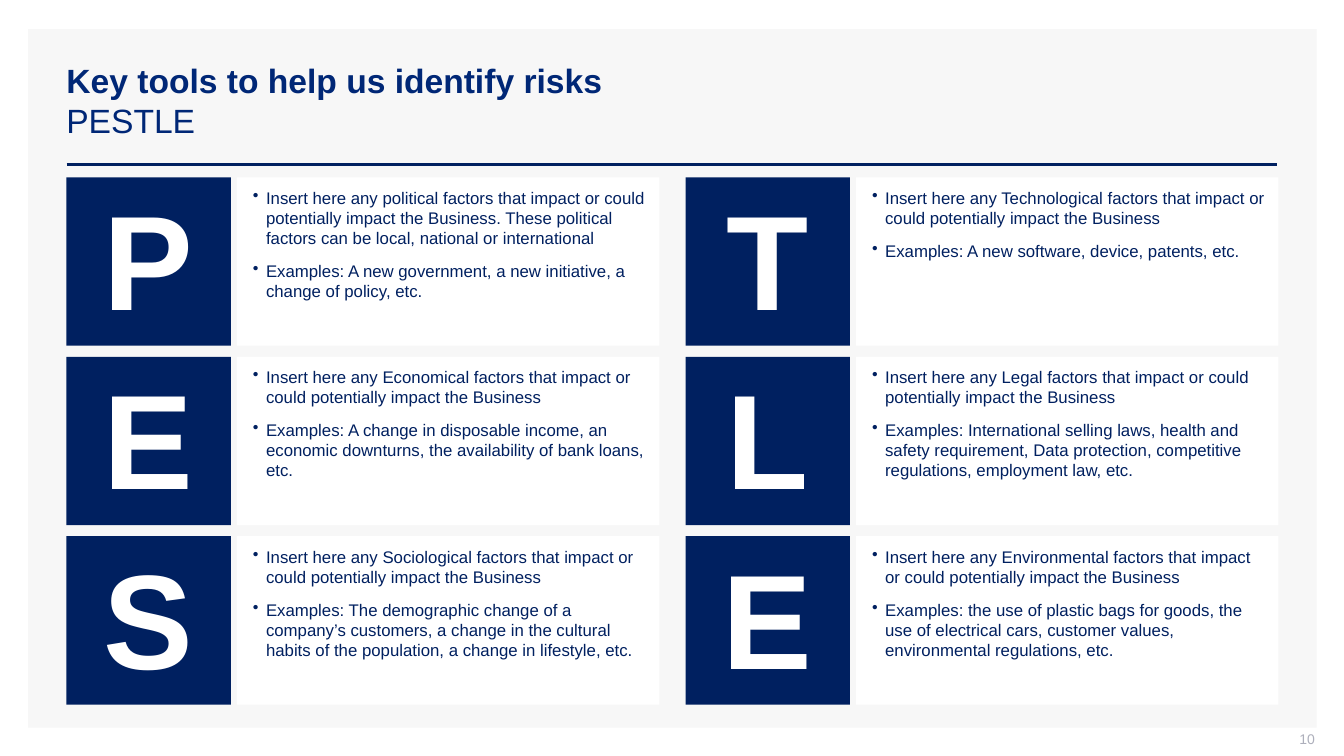
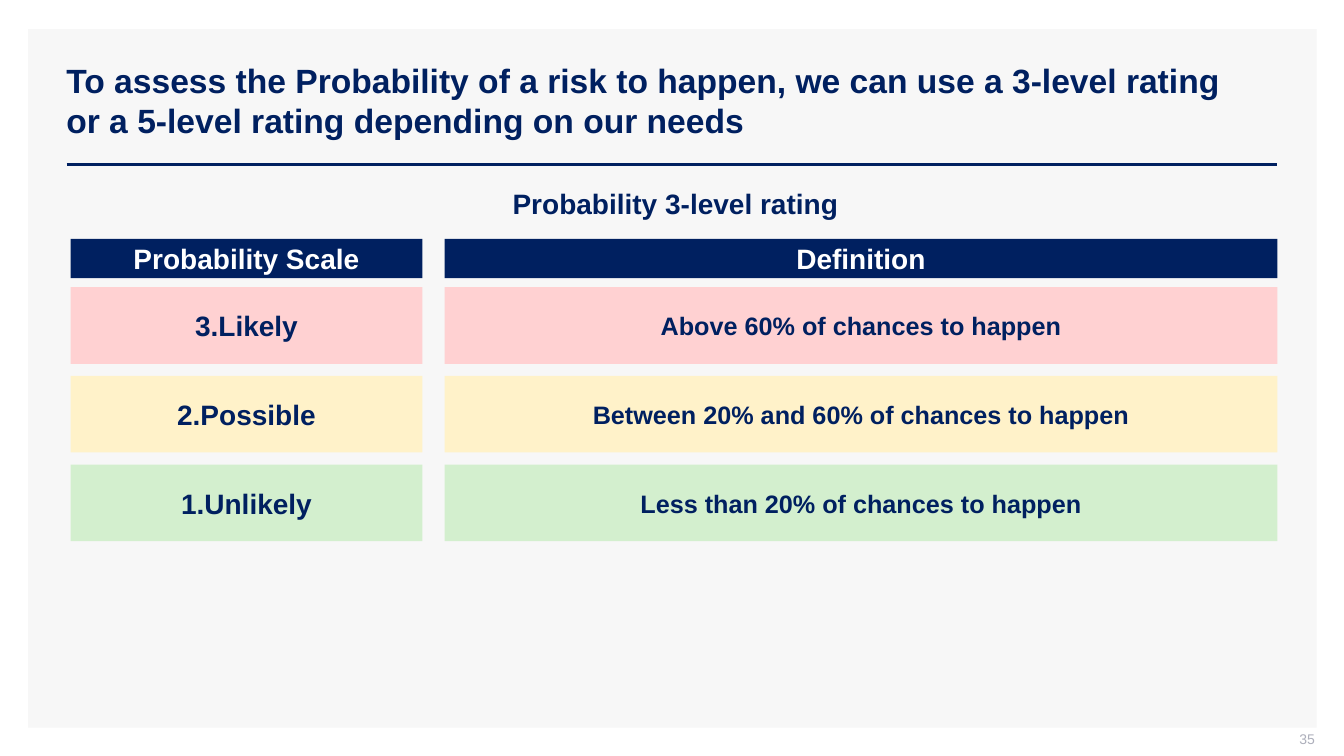
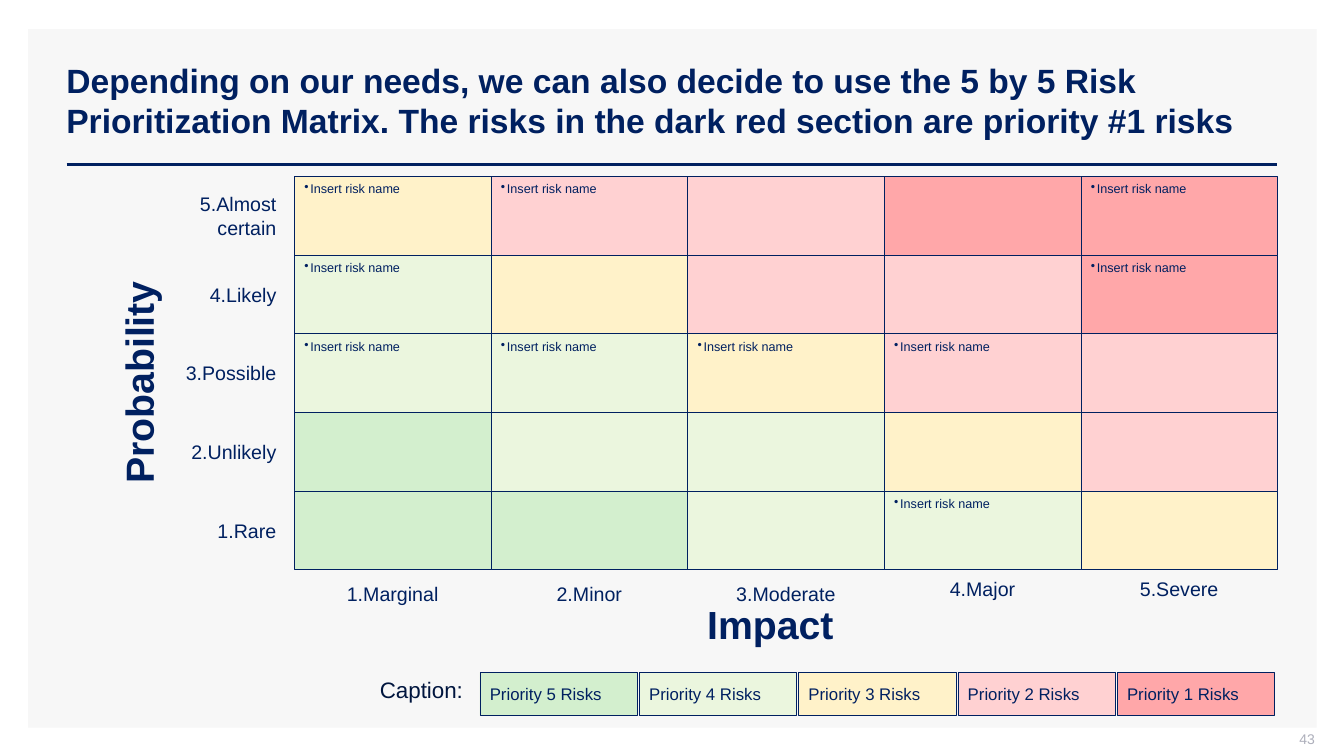
import pptx
import pptx.dml.color
import pptx.enum.shapes
import pptx.enum.text
import pptx.oxml.ns
import pptx.util
from lxml import etree

Inches = pptx.util.Inches
Pt = pptx.util.Pt
ALIGN = pptx.enum.text.PP_ALIGN
ANCHOR = pptx.enum.text.MSO_ANCHOR
qn = pptx.oxml.ns.qn

COLORS = {
    "navy": "002060", "title_blue": "002776", "ink": "00153E",
    "white": "FFFFFF", "panel": "F7F7F7", "page_grey": "ADAFBB",
    "p1": "FFA7A9", "p2": "FFD1D2", "p3": "FFF2C9",
    "p4": "EBF6DE", "p5": "D3EFCE",
}


def rgb(name):
    return pptx.dml.color.RGBColor.from_string(COLORS[name])


class Deck:
    font = "Arial"

    def __init__(self):
        self.prs = pptx.Presentation()
        self.prs.slide_width = Inches(13.33)
        self.prs.slide_height = Inches(7.5)
        self.slide = None

    def start(self, title, number, color="navy", subtitle=None):
        self.slide = self.prs.slides.add_slide(self.prs.slide_layouts[6])
        self.box(0.28, 0.29, 12.78, 6.93, "panel")
        self.rule(0.66, 1.63, 12.67)
        heading = self.text(0.56, 0.4, 12, 1.19, [title], 24, color, bold=True,
                            align=ALIGN.LEFT)
        if subtitle:
            paragraph = heading.text_frame.paragraphs[0]
            paragraph.add_line_break()
            self.run(paragraph, subtitle, 24, color, False)
        self.text(10.04, 7.25, 3, 0.21, [str(number)], 10, "page_grey",
                  align=ALIGN.RIGHT, insets=(0.1, 0, 0, 0.05))

    def rule(self, left, top, right):
        line = self.slide.shapes.add_connector(
            pptx.enum.shapes.MSO_CONNECTOR.STRAIGHT,
            Inches(left), Inches(top), Inches(right), Inches(top))
        line.line.color.rgb = rgb("navy")
        line.line.width = Pt(2)
        etree.SubElement(line._element.spPr, qn("a:effectLst"))

    def box(self, left, top, width, height, fill, outlined=False):
        shape = self.slide.shapes.add_shape(
            pptx.enum.shapes.MSO_SHAPE.RECTANGLE,
            Inches(left), Inches(top), Inches(width), Inches(height))
        shape.shadow.inherit = False
        shape.fill.solid()
        shape.fill.fore_color.rgb = rgb(fill)
        if outlined:
            shape.line.color.rgb = rgb("navy")
            shape.line.width = Pt(0.25)
        else:
            shape.line.fill.background()
        return shape

    def text(self, left, top, width, height, lines, size, color="navy", **style):
        shape = self.slide.shapes.add_textbox(
            Inches(left), Inches(top), Inches(width), Inches(height))
        self.fill_text(shape, lines, size, color, **style)
        return shape

    def fill_text(self, shape, lines, size, color="navy", bold=False,
                  align=ALIGN.CENTER, anchor=ANCHOR.MIDDLE,
                  insets=(0.1, 0.05, 0.1, 0.05), bullet=None, gap=0):
        frame = shape.text_frame
        frame.word_wrap = True
        frame.vertical_anchor = anchor
        (frame.margin_left, frame.margin_top,
         frame.margin_right, frame.margin_bottom) = map(Inches, insets)
        for index, line in enumerate(lines):
            paragraph = frame.add_paragraph() if index else frame.paragraphs[0]
            paragraph.alignment = align
            if index and gap:
                paragraph.space_before = Pt(gap)
            if bullet:
                self.bullet(paragraph, *bullet)
            self.run(paragraph, line, size, color, bold)

    def bullet(self, paragraph, margin, hanging):
        properties = paragraph._p.get_or_add_pPr()
        properties.set("marL", str(Inches(margin)))
        properties.set("indent", str(-Inches(hanging)))
        etree.SubElement(properties, qn("a:buChar")).set("char", "•")

    def run(self, paragraph, content, size, color, bold):
        run = paragraph.add_run()
        run.text = content
        run.font.name = self.font
        run.font.size = Pt(size)
        run.font.bold = bold
        run.font.color.rgb = rgb(color)


PESTLE = [
    ("P", "Insert here any political factors that impact or could potentially impact the Business. "
          "These political factors can be local, national or international",
     "Examples: A new government, a new initiative, a change of policy, etc."),
    ("E", "Insert here any Economical factors that impact or could potentially impact the Business",
     "Examples: A change in disposable income, an economic downturns, "
     "the availability of bank loans, etc."),
    ("S", "Insert here any Sociological factors that impact or could potentially impact the Business",
     "Examples: The demographic change of a company’s customers, a change in the cultural "
     "habits of the population, a change in lifestyle, etc."),
    ("T", "Insert here any Technological factors that impact or could potentially impact the Business",
     "Examples: A new software, device, patents, etc."),
    ("L", "Insert here any Legal factors that impact or could potentially impact the Business",
     "Examples: International selling laws, health and safety requirement, Data protection, "
     "competitive regulations, employment law, etc."),
    ("E", "Insert here any Environmental factors that impact or could potentially impact the Business",
     "Examples: the use of plastic bags for goods, the use of electrical cars, "
     "customer values, environmental regulations, etc."),
]

RATINGS = [
    ("3.Likely", "Above 60% of chances to happen", "p2"),
    ("2.Possible", "Between 20% and 60% of chances to happen", "p3"),
    ("1.Unlikely", "Less than 20% of chances to happen", "p5"),
]

MATRIX = [
    (["5.Almost", "certain"], "32211", {0, 1, 4}),
    (["4.Likely"], "43221", {0, 4}),
    (["3.Possible"], "44322", {0, 1, 2, 3}),
    (["2.Unlikely"], "54432", set()),
    (["1.Rare"], "55443", {3}),
]

IMPACTS = [("1.Marginal", 5.72), ("2.Minor", 5.72), ("3.Moderate", 5.72),
           ("4.Major", 5.67), ("5.Severe", 5.67)]


def pestle_slide(deck):
    deck.start("Key tools to help us identify risks", 10, "title_blue", "PESTLE")
    for index, (letter, *factors) in enumerate(PESTLE):
        column, row = divmod(index, 3)
        left, top = 0.66 + 6.14 * column, 1.76 + 1.78 * row
        tile = deck.box(left, top, 1.63, 1.67, "navy")
        deck.fill_text(tile, [letter], 96, "white", bold=True, insets=(0, 0, 0, 0.1))
        card = deck.box(left + 1.69, top, 4.19, 1.67, "white")
        deck.fill_text(card, factors, 12, align=ALIGN.LEFT, anchor=ANCHOR.TOP,
                       insets=(0.1, 0.1, 0.1, 0.1), bullet=(0.19, 0.13), gap=9)


def rating_slide(deck):
    deck.start("To assess the Probability of a risk to happen, we can use a 3-level rating "
               "or a 5-level rating depending on our needs", 35)
    deck.text(3.6, 1.8, 6.2, 0.44, ["Probability 3-level rating"], 20, bold=True)
    rows = [("Probability Scale", "Definition", "navy", "white", 20, 2.37, 0.39)]
    for index, (scale, definition, fill) in enumerate(RATINGS):
        rows.append((scale, definition, fill, "navy", 18, 2.85 + 0.88 * index, 0.76))
    for scale, definition, fill, color, size, top, height in rows:
        scale_cell = deck.box(0.7, top, 3.49, height, fill)
        deck.fill_text(scale_cell, [scale], 20, color, bold=True)
        definition_cell = deck.box(4.41, top, 8.26, height, fill)
        deck.fill_text(definition_cell, [definition], size, color, bold=True)


def matrix_slide(deck):
    deck.start("Depending on our needs, we can also decide to use the 5 by 5 Risk Prioritization "
               "Matrix. The risks in the dark red section are priority #1 risks", 43)
    left, top, width, height = 2.92, 1.75, 1.95, 0.78
    probability = deck.text(0.1, 3.46, 2.54, 0.67, ["Probability"], 28, bold=True)
    probability.rotation = 270
    deck.text(6.75, 5.85, 1.78, 0.67, ["Impact"], 28, bold=True)
    for row, (label, priorities, risks) in enumerate(MATRIX):
        row_top = top + height * row
        deck.text(1.59, row_top, 1.25, height, label, 14, align=ALIGN.RIGHT)
        for column, priority in enumerate(priorities):
            cell = deck.box(left + width * column, row_top, width, height,
                            "p" + priority, outlined=True)
            if column in risks:
                deck.fill_text(cell, ["Insert risk name"], 9, align=ALIGN.LEFT,
                               anchor=ANCHOR.TOP, bullet=(0.06, 0.06))
    for column, (impact, label_top) in enumerate(IMPACTS):
        deck.text(left + width * column, label_top, width, 0.34, [impact], 14)
    deck.text(3.61, 6.62, 1.14, 0.44, ["Caption:"], 16, "ink")
    for index, priority in enumerate("54321"):
        key = deck.box(4.76 + 1.58 * index, 6.67, 1.56, 0.43, "p" + priority, outlined=True)
        deck.fill_text(key, [f"Priority {priority} Risks"], 12, align=ALIGN.LEFT)


def main():
    deck = Deck()
    pestle_slide(deck)
    rating_slide(deck)
    matrix_slide(deck)
    deck.prs.save("out.pptx")


if __name__ == "__main__":
    main()
